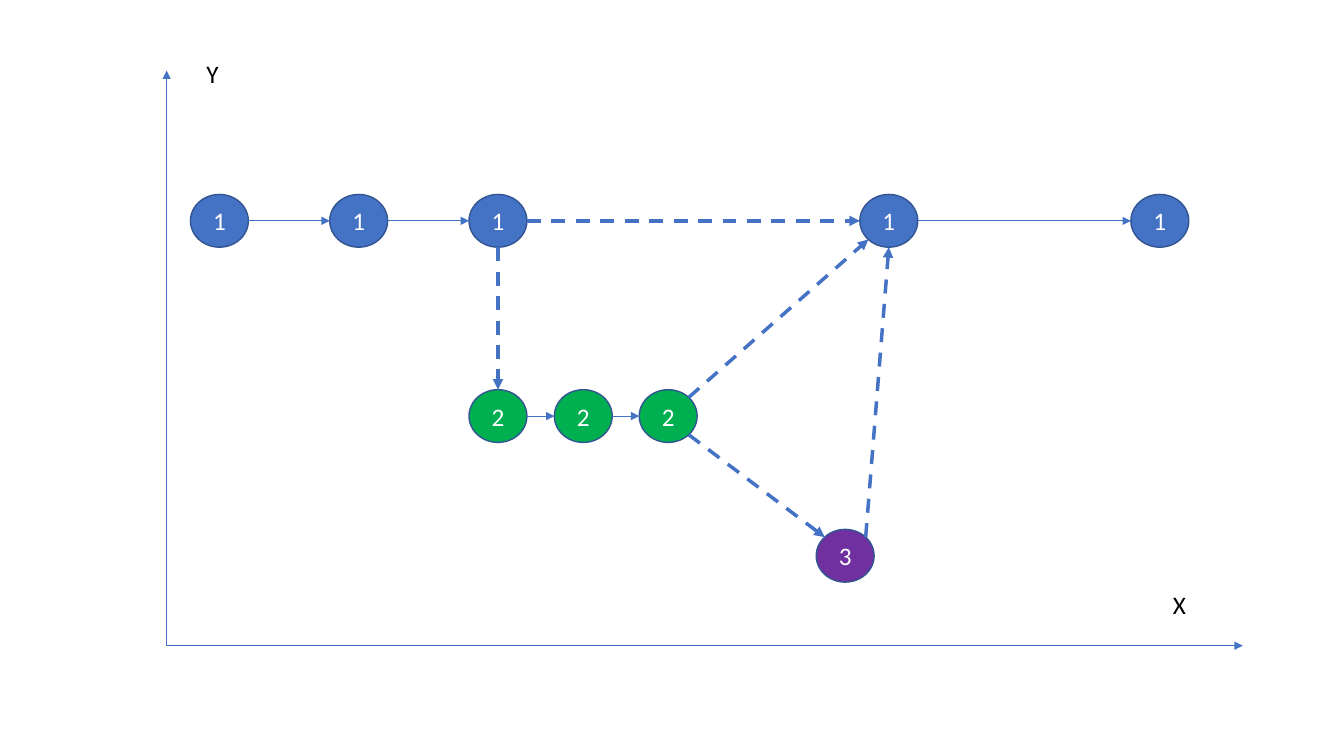
from math import sqrt

from lxml import etree
from pptx import Presentation
from pptx.dml.color import RGBColor
from pptx.enum import dml, shapes, text
from pptx.oxml.ns import qn
from pptx.util import Cm, Pt

COLORS = {"blue": "4472C4", "green": "00B050", "purple": "7030A0",
          "outline": "325491", "white": "FFFFFF", "black": "000000"}
FONT = "Calibri"

# Lengths in cm
NODE_W, NODE_H = 1.46, 1.33
# label: (fill, top, left of each node)
LEVELS = {
    "1": ("blue", 4.9, (4.8, 8.31, 11.82, 21.67, 28.5)),
    "2": ("green", 9.82, (11.82, 13.97, 16.11)),
    "3": ("purple", 13.34, (20.57,)),
}
# (level, index), side of the node, (level, index), side of the node
STEPS = [
    (("1", 0), "right", ("1", 1), "left"),
    (("1", 1), "right", ("1", 2), "left"),
    (("2", 0), "right", ("2", 1), "left"),
    (("2", 1), "right", ("2", 2), "left"),
    (("1", 3), "right", ("1", 4), "left"),
]
JUMPS = [
    (("1", 2), "bottom", ("2", 0), "top"),
    (("2", 2), "bottom right", ("3", 0), "top left"),
    (("2", 2), "top right", ("1", 3), "bottom left"),
    (("1", 2), "right", ("1", 3), "left"),
    (("3", 0), "top right", ("1", 3), "bottom"),
]
ORIGIN = (4.2, 16.27)
AXIS_ENDS = [(31.32, 16.27), (4.2, 1.78)]
AXIS_NAMES = [("X", 29.31, 14.73), ("Y", 4.95, 1.35)]
DIRECTIONS = {"left": (-1, 0), "right": (1, 0), "top": (0, -1), "bottom": (0, 1)}


def rgb(name):
    return RGBColor.from_string(COLORS[name])


def write(shape, words, color, size=18, align=text.PP_ALIGN.LEFT,
          anchor=text.MSO_ANCHOR.TOP):
    frame = shape.text_frame
    frame.word_wrap = True
    frame.vertical_anchor = anchor
    paragraph = frame.paragraphs[0]
    paragraph.alignment = align
    run = paragraph.add_run()
    run.text = words
    run.font.name, run.font.size = FONT, Pt(size)
    run.font.color.rgb = rgb(color)


def add_node(slide, label, fill, left, top):
    node = slide.shapes.add_shape(shapes.MSO_SHAPE.OVAL, Cm(left), Cm(top),
                                  Cm(NODE_W), Cm(NODE_H))
    node.shadow.inherit = False
    node.fill.solid()
    node.fill.fore_color.rgb = rgb(fill)
    node.line.color.rgb = rgb("outline")
    node.line.width = Pt(1)
    write(node, label, "white", align=text.PP_ALIGN.CENTER,
          anchor=text.MSO_ANCHOR.MIDDLE)


def edge_point(node, side):
    """Point on the ellipse of a node, such as its "top" or "top left"."""
    level, index = node
    _, top, lefts = LEVELS[level]
    parts = [DIRECTIONS[part] for part in side.split()]
    dx, dy = (sum(axis) / sqrt(len(parts)) for axis in zip(*parts))
    return (lefts[index] + NODE_W / 2 * (1 + dx), top + NODE_H / 2 * (1 + dy))


def add_arrow(slide, start, end, dashed=False):
    arrow = slide.shapes.add_connector(shapes.MSO_CONNECTOR.STRAIGHT,
                                       *map(Cm, start + end))
    arrow.line.color.rgb = rgb("blue")
    arrow.line.width = Pt(2.5 if dashed else 0.5)
    if dashed:
        arrow.line.dash_style = dml.MSO_LINE.DASH
    properties = arrow.element.spPr
    etree.SubElement(properties.find(qn("a:ln")), qn("a:tailEnd"), type="triangle")
    etree.SubElement(properties, qn("a:effectLst"))


def main():
    deck = Presentation()
    deck.slide_width, deck.slide_height = Cm(33.87), Cm(19.05)
    slide = deck.slides.add_slide(deck.slide_layouts[6])

    for label, (fill, top, lefts) in LEVELS.items():
        for left in lefts:
            add_node(slide, label, fill, left, top)
    for links, dashed in ((STEPS, False), (JUMPS, True)):
        for source, exit_side, target, entry_side in links:
            add_arrow(slide, edge_point(source, exit_side),
                      edge_point(target, entry_side), dashed)
    for end in AXIS_ENDS:
        add_arrow(slide, ORIGIN, end)
    for name, left, top in AXIS_NAMES:
        box = slide.shapes.add_textbox(Cm(left), Cm(top), Cm(1.3), Cm(1.02))
        write(box, name, "black")
    deck.save("out.pptx")


if __name__ == "__main__":
    main()
